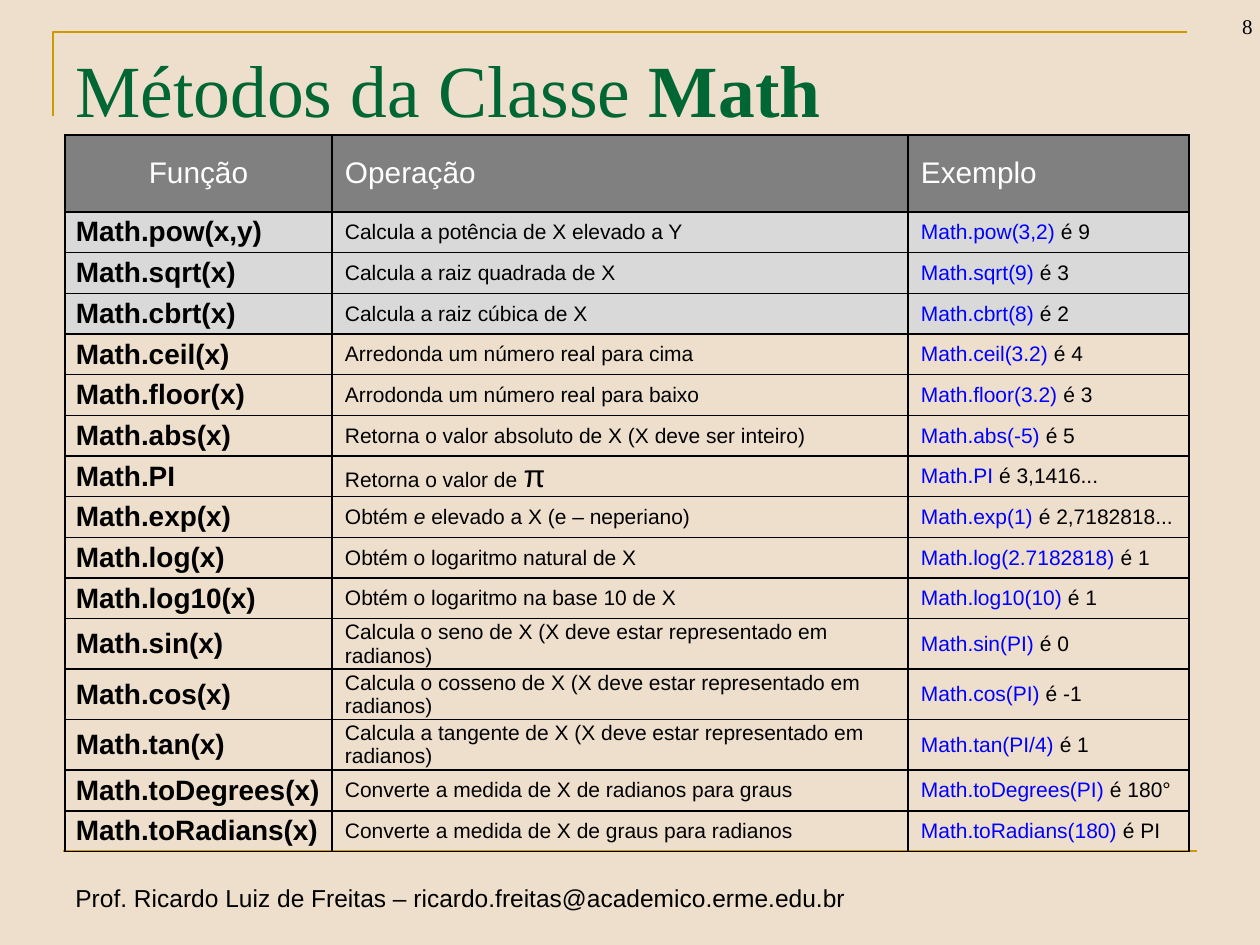
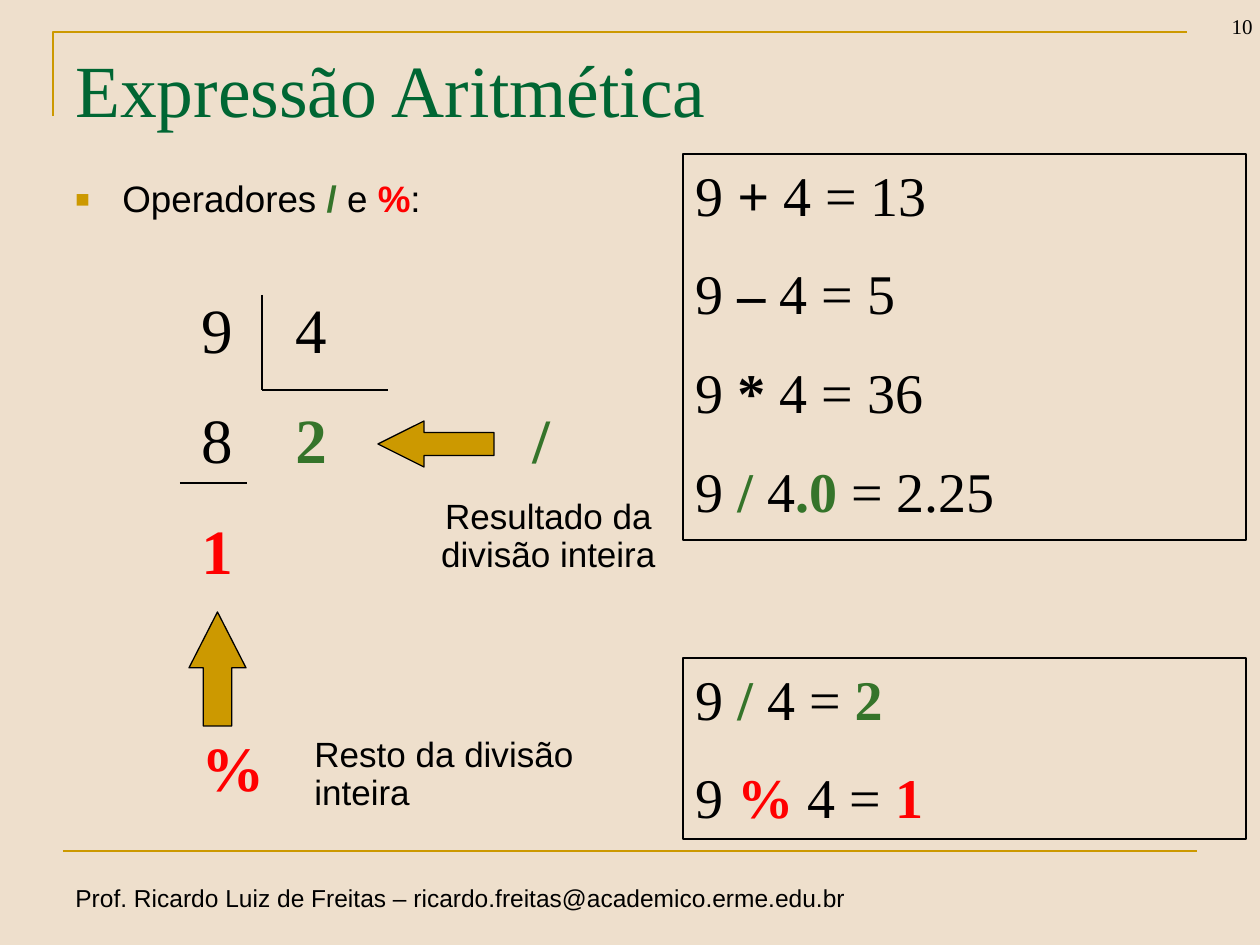
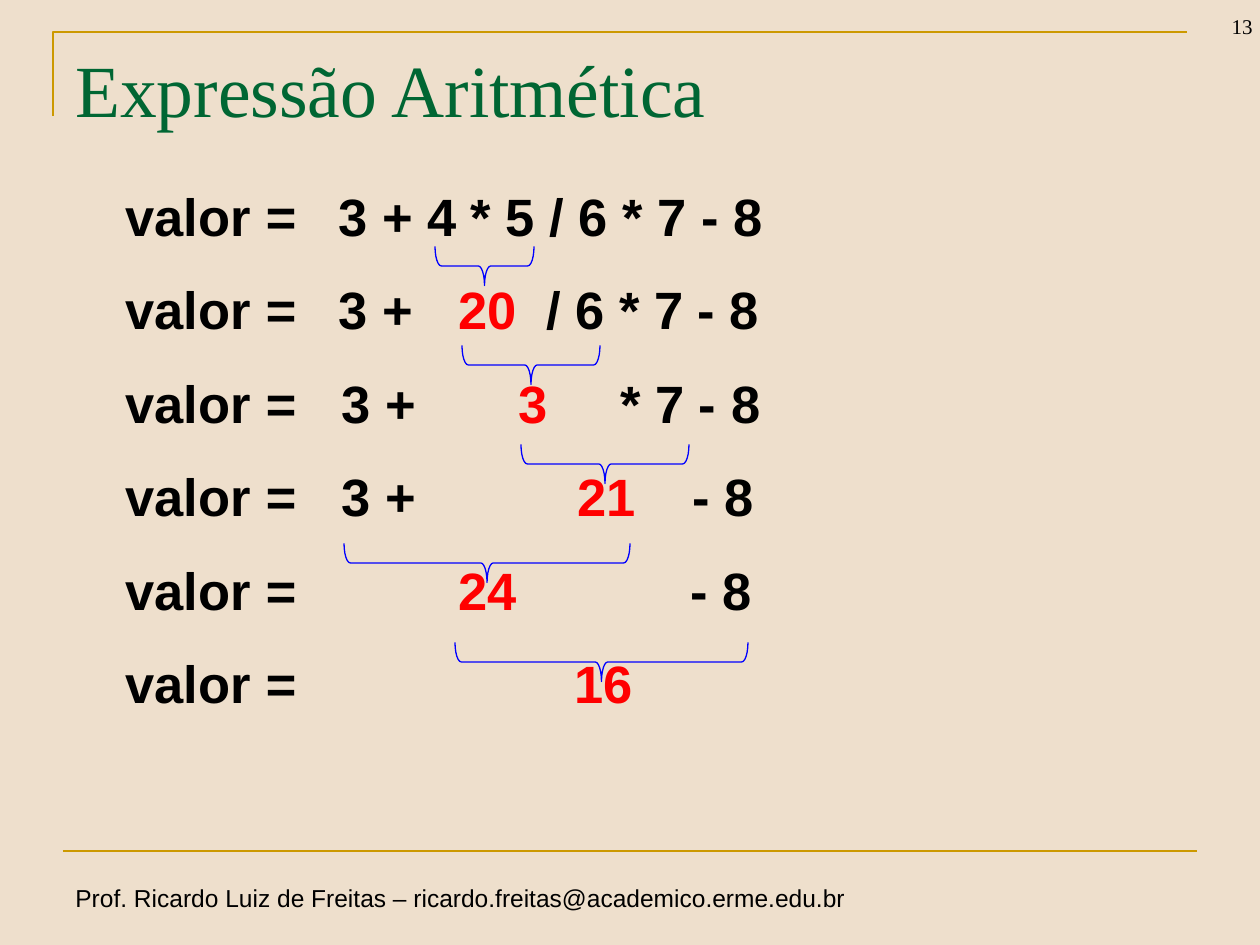
import pptx
import pptx.util
import pptx.dml.color
import pptx.enum.shapes
import pptx.enum.text
import pptx.oxml.ns
import lxml.etree

SCALE = 914400 // 126
SANS, SERIF, MONO = "Arial", "Times New Roman", "Courier New"
SAND, GOLD, TITLE_GREEN = "EEDFCC", "CC9900", "006633"
BLACK, WHITE, RED, GREEN, BLUE = "000000", "FFFFFF", "FF0000", "35742A", "0000FF"
HEADER_GRAY, ROW_GRAY = "808080", "D9D9D9"
FOOTER = "Prof. Ricardo Luiz de Freitas – ricardo.freitas@academico.erme.edu.br"

SHAPE = pptx.enum.shapes.MSO_SHAPE
ANCHOR = pptx.enum.text.MSO_ANCHOR
ALIGN = pptx.enum.text.PP_ALIGN
RED_BOLD = {"color": RED, "bold": True}
GREEN_BOLD = {"color": GREEN, "bold": True}
BOLD = {"bold": True}

FUNCTIONS = [
    ("Math.pow(x,y)", ["Calcula a potência de X elevado a Y"], "Math.pow(3,2)", "9"),
    ("Math.sqrt(x)", ["Calcula a raiz quadrada de X"], "Math.sqrt(9)", "3"),
    ("Math.cbrt(x)", ["Calcula a raiz cúbica de X"], "Math.cbrt(8)", "2"),
    ("Math.ceil(x)", ["Arredonda um número real para cima"], "Math.ceil(3.2)", "4"),
    ("Math.floor(x)", ["Arrodonda um número real para baixo"], "Math.floor(3.2)", "3"),
    ("Math.abs(x)", ["Retorna o valor absoluto de X (X deve ser inteiro)"],
     "Math.abs(-5)", "5"),
    ("Math.PI", ["Retorna o valor de ", ("π", {"size": 18})], "Math.PI", "3,1416..."),
    ("Math.exp(x)", ["Obtém ", ("e", {"italic": True}), " elevado a X (e – neperiano)"],
     "Math.exp(1)", "2,7182818..."),
    ("Math.log(x)", ["Obtém o logaritmo natural de X"], "Math.log(2.7182818)", "1"),
    ("Math.log10(x)", ["Obtém o logaritmo na base 10 de X"], "Math.log10(10)", "1"),
    ("Math.sin(x)", ["Calcula o seno de X (X deve estar representado em radianos)"],
     "Math.sin(PI)", "0"),
    ("Math.cos(x)", ["Calcula o cosseno de X (X deve estar representado em radianos)"],
     "Math.cos(PI)", "-1"),
    ("Math.tan(x)", ["Calcula a tangente de X (X deve estar representado em radianos)"],
     "Math.tan(PI/4)", "1"),
    ("Math.toDegrees(x)", ["Converte a medida de X de radianos para graus"],
     "Math.toDegrees(PI)", "180°"),
    ("Math.toRadians(x)", ["Converte a medida de X de graus para radianos"],
     "Math.toRadians(180)", "PI"),
]

# Each step: tab stops, then the runs after "valor ="
STEPS = [
    ([213], ["\t3 + 4 * 5 / 6 * 7 - 8"]),
    ([213, 333, 421], ["\t3 +", ("\t20", {"color": RED}), "\t/ 6 * 7 - 8"]),
    ([216, 393, 495], ["\t3 +", ("\t3", {"color": RED}), "\t* 7 - 8"]),
    ([216, 452, 567], ["\t3 +", ("\t21", {"color": RED}), "\t- 8"]),
    ([333, 565], [("\t24", {"color": RED}), "\t- 8"]),
    ([449], [("\t16", {"color": RED})]),
]
# Left and right end of each brace, from the left of the steps
BRACES = [(322, 421), (349, 487), (408, 576), (231, 517), (342, 635)]


def px(n):
    return pptx.util.Emu(round(n * SCALE))


def rgb(color):
    return pptx.dml.color.RGBColor.from_string(color)


def sub(parent, tag, **attrs):
    el = lxml.etree.SubElement(parent, pptx.oxml.ns.qn(tag))
    for name, value in attrs.items():
        el.set(name, str(value))
    return el


def add_runs(p, runs, size, font=SANS, color=BLACK, bold=False):
    for run in runs:
        text, own = (run, {}) if isinstance(run, str) else run
        r = p.add_run()
        r.text = text
        r.font.size = pptx.util.Pt(own.get("size", size))
        r.font.name = own.get("font", font)
        r.font.bold = own.get("bold", bold)
        r.font.italic = own.get("italic", False)
        r.font.color.rgb = rgb(own.get("color", color))


def fill_text(sp, lines, size, font=SANS, color=BLACK, bold=False, align=ALIGN.LEFT,
              anchor=ANCHOR.TOP, line_spacing=None, gap=0):
    tf = sp.text_frame
    tf.word_wrap = True
    tf.vertical_anchor = anchor
    for i, runs in enumerate(lines):
        p = tf.add_paragraph() if i else tf.paragraphs[0]
        p.alignment = align
        p.line_spacing = line_spacing
        p.space_after = pptx.util.Pt(gap)
        add_runs(p, runs, size, font, color, bold)
    return tf.paragraphs


def add_text(s, box, lines, size, **style):
    sp = s.shapes.add_textbox(*map(px, box))
    return fill_text(sp, lines, size, **style)


def set_tabs(p, stops):
    tabs = sub(p._p.get_or_add_pPr(), "a:tabLst")
    for stop in stops:
        sub(tabs, "a:tab", pos=px(stop), algn="l")


def style_shape(sp, line, width=0.75, fill=None):
    sp.shadow.inherit = False
    sp.line.color.rgb = rgb(line)
    sp.line.width = pptx.util.Pt(width)
    if fill:
        sp.fill.solid()
        sp.fill.fore_color.rgb = rgb(fill)
    else:
        sp.fill.background()


def add_shape(s, kind, box, line=BLACK, fill=None, adjust=()):
    sp = s.shapes.add_shape(kind, *map(px, box))
    style_shape(sp, line, fill=fill)
    for i, value in enumerate(adjust):
        sp.adjustments[i] = value
    return sp


def add_line(s, x1, y1, x2, y2, color=BLACK, width=0.75):
    line = s.shapes.add_connector(pptx.enum.shapes.MSO_CONNECTOR.STRAIGHT,
                                  px(x1), px(y1), px(x2), px(y2))
    line.line.color.rgb = rgb(color)
    line.line.width = pptx.util.Pt(width)
    sub(line._element.spPr, "a:effectLst")


def base_slide(prs, number, title):
    s = prs.slides.add_slide(prs.slide_layouts[6])
    # Corner rule, footer rule and footer
    corner = s.shapes.build_freeform(53, 116, scale=SCALE)
    corner.add_line_segments([(53, 32), (1187, 32)], close=False)
    style_shape(corner.convert_to_shape(), GOLD, 1.5)
    add_line(s, 63, 851, 1197, 851, GOLD, 1.5)
    add_text(s, (63, 877, 804, 43), [[FOOTER]], 14)
    # Page number and title
    add_text(s, (1171, -18, 94, 63), [[str(number)]], 12, font=SERIF,
             align=ALIGN.RIGHT, anchor=ANCHOR.BOTTOM)
    add_text(s, (63, 38, 1134, 158), [title], 42, font=SERIF, color=TITLE_GREEN)
    return s


def fill_cell(cell, runs, size, margin, fill, **style):
    cell.margin_right = cell.margin_top = cell.margin_bottom = 0
    cell.margin_left = px(margin)
    cell.vertical_anchor = ANCHOR.MIDDLE
    p = cell.text_frame.paragraphs[0]
    add_runs(p, runs, size, **style)
    tc_pr = cell._tc.get_or_add_tcPr()
    for side in ("a:lnL", "a:lnR", "a:lnT", "a:lnB"):
        ln = sub(tc_pr, side, w=pptx.util.Pt(1))
        sub(sub(ln, "a:solidFill"), "a:srgbClr", val=BLACK)
    if fill:
        cell.fill.solid()
        cell.fill.fore_color.rgb = rgb(fill)
    else:
        cell.fill.background()
    return p


def function_table(s, x, y, widths):
    one_line, two_lines = 407 / 10, 47
    heights = [77] + [two_lines if "radianos)" in row[1][0] else one_line
                      for row in FUNCTIONS]
    table = s.shapes.add_table(len(heights), len(widths), px(x), px(y),
                               px(sum(widths)), px(sum(heights))).table
    table.first_row = table.horz_banding = False
    for column, width in zip(table.columns, widths):
        column.width = px(width)
    for row, height in zip(table.rows, heights):
        row.height = px(height)
    # Header
    for i, head in enumerate(["Função", "Operação", "Exemplo"]):
        p = fill_cell(table.cell(0, i), [head], 17, 13 if i else 0, HEADER_GRAY,
                      color=WHITE)
        p.alignment = ALIGN.LEFT if i else ALIGN.CENTER
    # One row per function, the first three shaded
    for i, (name, operation, call, result) in enumerate(FUNCTIONS, 1):
        fill = ROW_GRAY if i <= 3 else None
        fill_cell(table.cell(i, 0), [name], 16, 11, fill, bold=True)
        fill_cell(table.cell(i, 1), operation, 12, 13, fill)
        fill_cell(table.cell(i, 2), [(call, {"color": BLUE}), f" é {result}"],
                  12, 13, fill)


def bullet_line(s, box, runs):
    p = add_text(s, box, [runs], 21, line_spacing=0.9)[0]
    p_pr = p._p.get_or_add_pPr()
    p_pr.set("marL", str(px(47)))
    p_pr.set("indent", str(-px(47)))
    sub(sub(p_pr, "a:buClr"), "a:srgbClr", val=GOLD)
    sub(p_pr, "a:buSzPct", val=65000)
    sub(p_pr, "a:buFont", typeface=SANS)
    sub(p_pr, "a:buChar", char="■")


def result_box(s, box, lines):
    sp = add_shape(s, SHAPE.RECTANGLE, box)
    fill_text(sp, lines, 32, font=SERIF, gap=18)


def long_division(s, x, y):
    # Numbers and operators
    lines = [["9\t4"], ["8", ("\t2\t/", GREEN_BOLD)], [("1", RED_BOLD)],
             [("%", RED_BOLD)]]
    paragraphs = add_text(s, (x, y, 500, 547), lines, 36, font=SERIF, gap=20)
    for p in paragraphs[:2]:
        set_tabs(p, [94, 331])
    paragraphs[2].space_after = pptx.util.Pt(81)
    # Division bracket and subtraction rule
    add_line(s, x + 73, y + 11, x + 73, y + 106)
    add_line(s, x + 73, y + 106, x + 199, y + 106)
    add_line(s, x - 9, y + 199, x + 58, y + 199)
    # Arrows and captions
    add_shape(s, SHAPE.UP_ARROW, (x, y + 328, 57, 114), fill=GOLD, adjust=(0.5, 0.98))
    add_shape(s, SHAPE.LEFT_ARROW, (x + 189, y + 137, 116, 46), fill=GOLD,
              adjust=(0.5, 1))
    add_text(s, (x + 214, y + 209, 291, 89), [["Resultado da divisão inteira"]], 20,
             align=ALIGN.CENTER, line_spacing=0.9)
    add_text(s, (x + 113, y + 447, 291, 89), [["Resto da divisão inteira"]], 20,
             line_spacing=0.9)


def evaluation_steps(s, x, y):
    lines = [["valor ", ("=", {"font": MONO})] + runs for _, runs in STEPS]
    paragraphs = add_text(s, (x, y, 983, 633), lines, 30, bold=True,
                          line_spacing=0.9, gap=21)
    for p, (stops, _) in zip(paragraphs, STEPS):
        set_tabs(p, stops)
    # Braces: upright shapes turned a quarter about their centres
    depth = 39
    for i, (left, right) in enumerate(BRACES):
        span = right - left
        cx, cy = x + (left + right) / 2, y + 81 + 99 * i
        sp = add_shape(s, SHAPE.RIGHT_BRACE,
                       (cx - depth / 2, cy - span / 2, depth, span),
                       line=BLUE, adjust=(0.16, 0.5))
        sp.rotation = 90


def main():
    prs = pptx.Presentation()
    prs.slide_width, prs.slide_height = px(1260), px(945)
    background = prs.slide_master.background.fill
    background.solid()
    background.fore_color.rgb = rgb(SAND)

    # Methods table
    s = base_slide(prs, 8, ["Métodos da Classe ", ("Math", BOLD)])
    function_table(s, 65, 135, [267, 576, 281])

    # Operators
    s = base_slide(prs, 10, ["Expressão Aritmética"])
    bullet_line(s, (63, 175, 537, 66),
                ["Operadores ", ("/", GREEN_BOLD), " e ", ("%", RED_BOLD), ":"])
    result_box(s, (683, 658, 563, 181), [
        ["9 ", ("/", GREEN_BOLD), " 4 = ", ("2", GREEN_BOLD)],
        ["9 ", ("%", RED_BOLD), " 4 = ", ("1", RED_BOLD)]])
    result_box(s, (683, 154, 563, 386), [
        ["9 ", ("+", BOLD), " 4 = 13"],
        ["9 ", ("–", BOLD), " 4 = 5"],
        ["9 ", ("*", BOLD), " 4 = 36"],
        ["9 ", ("/", GREEN_BOLD), " 4", (".0", GREEN_BOLD), " = 2.25"]])
    long_division(s, 189, 284)

    # Evaluation order
    s = base_slide(prs, 13, ["Expressão Aritmética"])
    evaluation_steps(s, 113, 185)

    prs.save("out.pptx")


if __name__ == "__main__":
    main()
